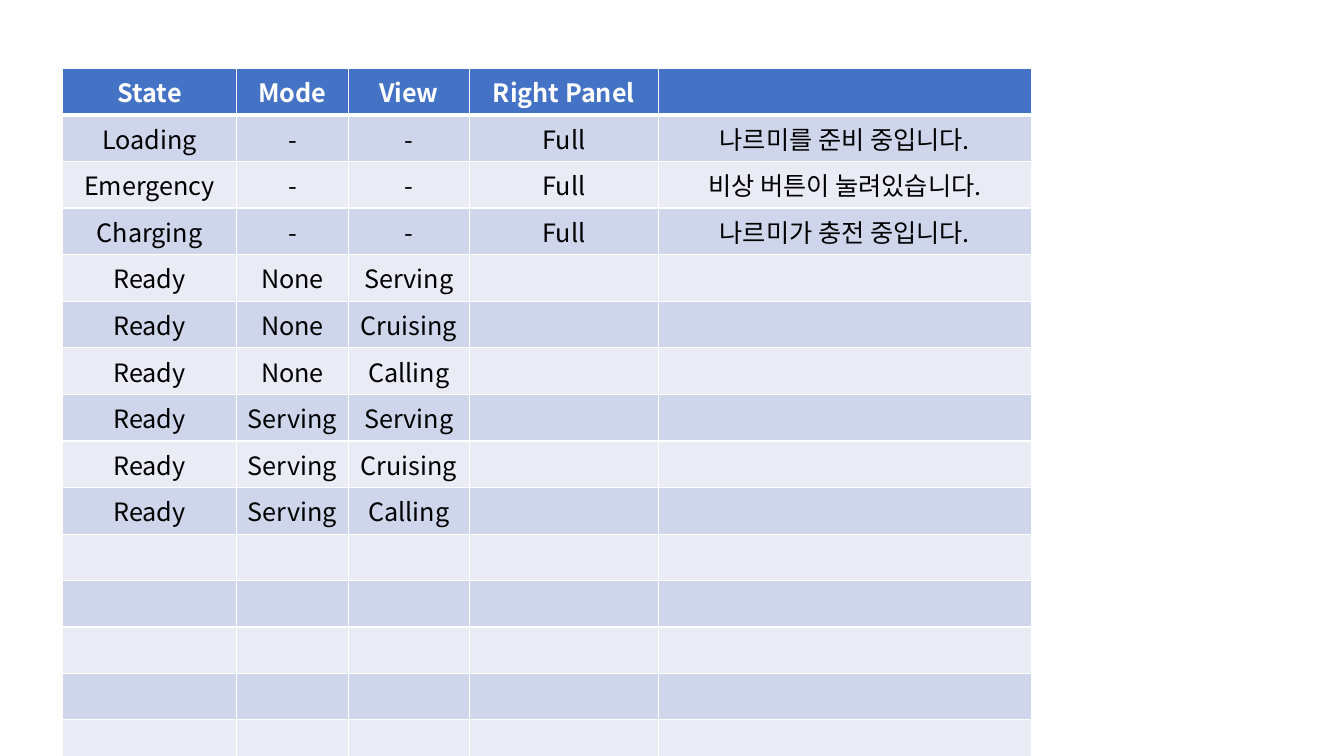
from lxml import etree
from pptx import Presentation
from pptx.dml.color import RGBColor
from pptx.enum.text import PP_ALIGN
from pptx.oxml.ns import qn
from pptx.util import Cm, Pt

CENTER = PP_ALIGN.CENTER
FONT = "Noto Sans CJK KR"
COLORS = {
    "head": "4472C4",
    "odd": "CFD5EA",
    "even": "E9EBF5",
    "line": "FFFFFF",
    "title": "FFFFFF",
    "text": "000000",
}
WIDTHS = [4.38, 2.82, 3.05, 4.76, 9.4]
HEIGHT = 1.17
COUNT = 16
HEADS = ["State", "Mode", "View", "Right Panel"]
ALERTS = [
    ("Loading", "나르미를 준비 중입니다."),
    ("Emergency", "비상 버튼이 눌려있습니다."),
    ("Charging", "나르미가 충전 중입니다."),
]
MODES = ["None", "Serving"]
VIEWS = ["Serving", "Cruising", "Calling"]


def rgb(name):
    return RGBColor.from_string(COLORS[name])


def add_edge(cell, side, width):
    props = cell._tc.get_or_add_tcPr()
    line = etree.SubElement(props, qn(f"a:ln{side}"), w=str(Pt(width)))
    fill = etree.SubElement(line, qn("a:solidFill"))
    etree.SubElement(fill, qn("a:srgbClr"), val=COLORS["line"])


def add_text(cell, text, color, bold):
    para = cell.text_frame.paragraphs[0]
    para.alignment = CENTER
    run = para.add_run()
    run.text = text
    font = run.font
    font.name = FONT
    font.size = Pt(18)
    font.bold = bold
    font.color.rgb = rgb(color)
    # Hangul takes its face from the East Asian slot
    etree.SubElement(font._element, qn("a:ea"), typeface=FONT)


def style_cell(cell, row):
    """Give a cell its borders and the fill of its band."""
    top = 3 if row == 1 else 1
    bottom = 3 if row == 0 else 1
    for side, width in (("L", 1), ("R", 1), ("T", top), ("B", bottom)):
        add_edge(cell, side, width)
    band = "head" if row == 0 else "odd" if row % 2 else "even"
    cell.fill.solid()
    cell.fill.fore_color.rgb = rgb(band)


def add_grid(slide, rows):
    frame = slide.shapes.add_table(
        COUNT, len(WIDTHS), Cm(1.58), Cm(1.72),
        Cm(sum(WIDTHS)), Cm(HEIGHT * COUNT))
    table = frame.table
    for column, width in zip(table.columns, WIDTHS):
        column.width = Cm(width)
    for row in range(COUNT):
        table.rows[row].height = Cm(HEIGHT)
        for cell in table.rows[row].cells:
            style_cell(cell, row)
    for row, texts in enumerate(rows):
        head = row == 0
        for col, text in enumerate(texts):
            add_text(table.cell(row, col), text,
                     "title" if head else "text", head)


def main():
    deck = Presentation()
    deck.slide_width = Cm(33.87)
    deck.slide_height = Cm(19.05)
    slide = deck.slides.add_slide(deck.slide_layouts[6])
    alerts = [[state, "-", "-", "Full", note] for state, note in ALERTS]
    ready = [["Ready", mode, view] for mode in MODES for view in VIEWS]
    add_grid(slide, [HEADS] + alerts + ready)
    deck.save("out.pptx")


if __name__ == "__main__":
    main()
